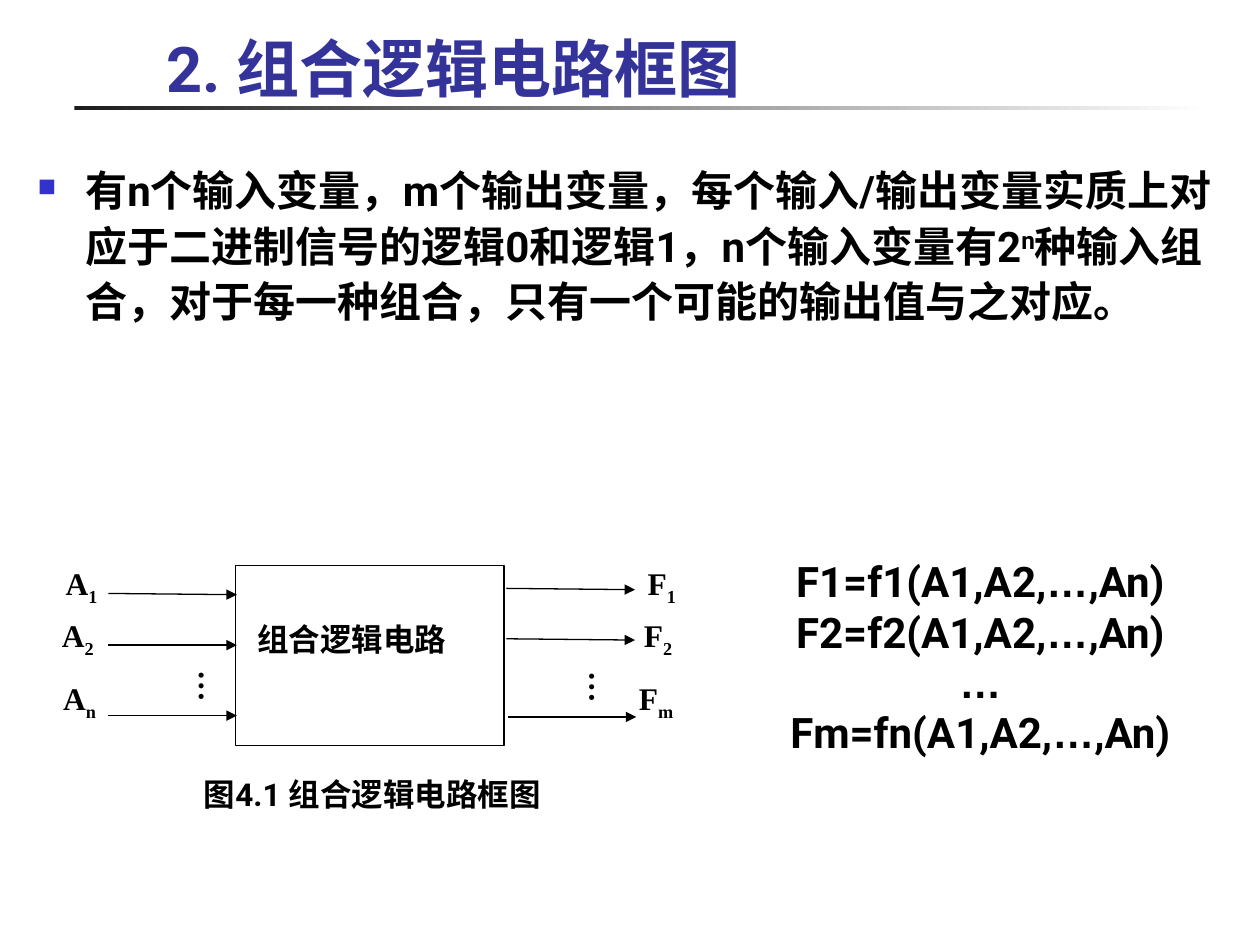
from dataclasses import dataclass
from typing import NamedTuple, Optional

from lxml.etree import SubElement
from pptx import Presentation
from pptx.dml.color import RGBColor
from pptx.enum.shapes import MSO_CONNECTOR as Connector, MSO_SHAPE as Preset
from pptx.enum.text import MSO_ANCHOR as Anchor, MSO_AUTO_SIZE as AutoSize, PP_ALIGN as Align
from pptx.oxml.ns import qn
from pptx.util import Inches, Pt


@dataclass(frozen=True)
class Theme:
    title_color: RGBColor = RGBColor(0x33, 0x33, 0x99)
    bullet_color: RGBColor = RGBColor(0x33, 0x33, 0xCC)
    ink: RGBColor = RGBColor(0, 0, 0)
    rule_start: RGBColor = RGBColor(0x1C, 0x1C, 0x1C)
    rule_end: RGBColor = RGBColor(0xFF, 0xFF, 0xFF)
    sans: str = "Roboto"
    serif: str = "Times New Roman"
    ellipsis_font: str = "Arial"
    title_size: int = 36
    body_size: int = 24
    diagram_size: int = 18
    line_width: float = 0.75


class Box(NamedTuple):
    left: float
    top: float
    width: float
    height: float


class Piece(NamedTuple):
    """A run of text, raised or lowered by a percentage of its size."""
    text: str
    baseline: int = 0
    font: Optional[str] = None


class Signal(NamedTuple):
    """A named wire entering or leaving the circuit block."""
    letter: str
    index: str
    label_at: tuple[float, float]
    start: tuple[float, float]
    end: tuple[float, float]


THEME = Theme()
NO_INSET = 0.0

SIGNALS = [
    Signal("A", "1", (0.52, 4.48), (0.86, 4.71), (1.88, 4.72)),
    Signal("A", "2", (0.49, 4.89), (0.86, 5.12), (1.88, 5.12)),
    Signal("A", "n", (0.5, 5.39), (0.86, 5.68), (1.88, 5.68)),
    Signal("F", "1", (5.14, 4.48), (4.02, 4.67), (5.04, 4.68)),
    Signal("F", "2", (5.11, 4.89), (4.02, 5.07), (5.04, 5.08)),
    Signal("F", "m", (5.07, 5.39), (4.03, 5.69), (5.05, 5.69)),
]


def add_frame(slide, box: Box, inset: Optional[float] = None, anchor=Anchor.TOP, wrap: bool = True):
    frame = slide.shapes.add_textbox(*map(Inches, box)).text_frame
    frame.word_wrap = wrap
    frame.vertical_anchor = anchor
    if inset is not None:
        frame.margin_left = frame.margin_right = Inches(inset)
        frame.margin_top = frame.margin_bottom = Inches(inset)
    return frame


def write(paragraph, pieces: list[Piece], size: int, font: str = THEME.sans,
          color: RGBColor = THEME.ink, align=None) -> None:
    paragraph.alignment = align
    paragraph.font.size = Pt(size)
    paragraph.font.bold = True
    paragraph.font.name = font
    paragraph.font.color.rgb = color
    for piece in pieces:
        run = paragraph.add_run()
        run.text = piece.text
        if piece.font:
            run.font.name = piece.font
        if piece.baseline:
            run.font._element.set("baseline", str(piece.baseline * 1000))


def indent(paragraph, left: float, first: float) -> None:
    properties = paragraph._p.get_or_add_pPr()
    properties.set("marL", str(Inches(left)))
    properties.set("indent", str(Inches(first)))


def add_bullet(paragraph) -> None:
    properties = paragraph._p.get_or_add_pPr()
    color = SubElement(properties, qn("a:buClr"))
    SubElement(color, qn("a:srgbClr"), val=str(THEME.bullet_color))
    SubElement(properties, qn("a:buSzPct"), val="60000")
    SubElement(properties, qn("a:buChar"), char="■")


def add_title(slide) -> None:
    rule = slide.shapes.add_shape(Preset.RECTANGLE, *map(Inches, Box(0.59, 0.84, 9, 0.03)))
    rule.shadow.inherit = False
    rule.line.fill.background()
    rule.fill.gradient()
    rule.fill.gradient_angle = 0
    for stop, color in zip(rule.fill.gradient_stops, (THEME.rule_start, THEME.rule_end)):
        stop.color.rgb = color
    frame = add_frame(slide, Box(1.22, 0.36, 8.52, 0.52), anchor=Anchor.BOTTOM)
    write(frame.paragraphs[0], [Piece("2. 组合逻辑电路框图")], THEME.title_size, color=THEME.title_color)


def add_explanation(slide) -> None:
    paragraph = add_frame(slide, Box(0.2, 1.22, 9.6, 2.61)).paragraphs[0]
    indent(paragraph, 0.38, -0.38)
    add_bullet(paragraph)
    paragraph.line_spacing = 1.1
    write(paragraph, [
        Piece("有n个输入变量，m个输出变量，每个输入/输出变量实质上对应于二进制信号的逻辑0和逻辑1，n个输入变量有2"),
        Piece("n", 30),
        Piece("种输入组合，对于每一种组合，只有一个可能的输出值与之对应。"),
    ], THEME.body_size)


def add_diagram_text(slide, box: Box, *pieces: Piece):
    frame = add_frame(slide, box, NO_INSET)
    write(frame.paragraphs[0], list(pieces), THEME.diagram_size, THEME.serif, align=Align.JUSTIFY)
    return frame


def outline(line) -> None:
    line.color.rgb = THEME.ink
    line.width = Pt(THEME.line_width)


def add_signal(slide, signal: Signal) -> None:
    ends = map(Inches, (*signal.start, *signal.end))
    wire = slide.shapes.add_connector(Connector.STRAIGHT, *ends)
    outline(wire.line)
    SubElement(wire.line._get_or_add_ln(), qn("a:tailEnd"), type="triangle")
    SubElement(wire._element.spPr, qn("a:effectLst"))
    add_diagram_text(slide, Box(*signal.label_at, 0.58, 0.68),
                     Piece(signal.letter), Piece(signal.index, -25))


def add_circuit(slide) -> None:
    block = slide.shapes.add_shape(Preset.RECTANGLE, *map(Inches, Box(1.87, 4.49, 2.13, 1.43)))
    block.shadow.inherit = False
    block.fill.background()
    outline(block.line)
    add_diagram_text(slide, Box(2.04, 4.92, 1.84, 0.55), Piece("组合逻辑电路"))
    for signal in SIGNALS:
        add_signal(slide, signal)
    for left, top in ((1.23, 5.32), (4.33, 5.33)):
        dots = add_diagram_text(slide, Box(left, top, 0.6, 0.49), Piece("…"))
        dots._bodyPr.set("vert", "eaVert")
    caption = add_frame(slide, Box(1.52, 6.1, 3.01, 0.4), anchor=Anchor.MIDDLE, wrap=False)
    caption.auto_size = AutoSize.SHAPE_TO_FIT_TEXT
    write(caption.paragraphs[0], [Piece("图4.1 组合逻辑电路框图")], THEME.diagram_size)


def add_equations(slide) -> None:
    frame = add_frame(slide, Box(5.61, 4.35, 4.05, 1.72), anchor=Anchor.MIDDLE)
    frame.auto_size = AutoSize.SHAPE_TO_FIT_TEXT
    ellipsis = Piece("…", font=THEME.ellipsis_font)
    for number, function in enumerate(("F1=f1", "F2=f2", None, "Fm=fn")):
        paragraph = frame.add_paragraph() if number else frame.paragraphs[0]
        indent(paragraph, 0, 0.29)
        pieces = [Piece(f"{function}(A1,A2,"), ellipsis, Piece(",An)")] if function else [ellipsis]
        write(paragraph, pieces, THEME.body_size, align=Align.CENTER)


def main() -> None:
    deck = Presentation()
    deck.slide_width, deck.slide_height = Inches(10), Inches(7.5)
    slide = deck.slides.add_slide(deck.slide_layouts[6])
    add_title(slide)
    add_explanation(slide)
    add_circuit(slide)
    add_equations(slide)
    deck.save("out.pptx")


if __name__ == "__main__":
    main()
